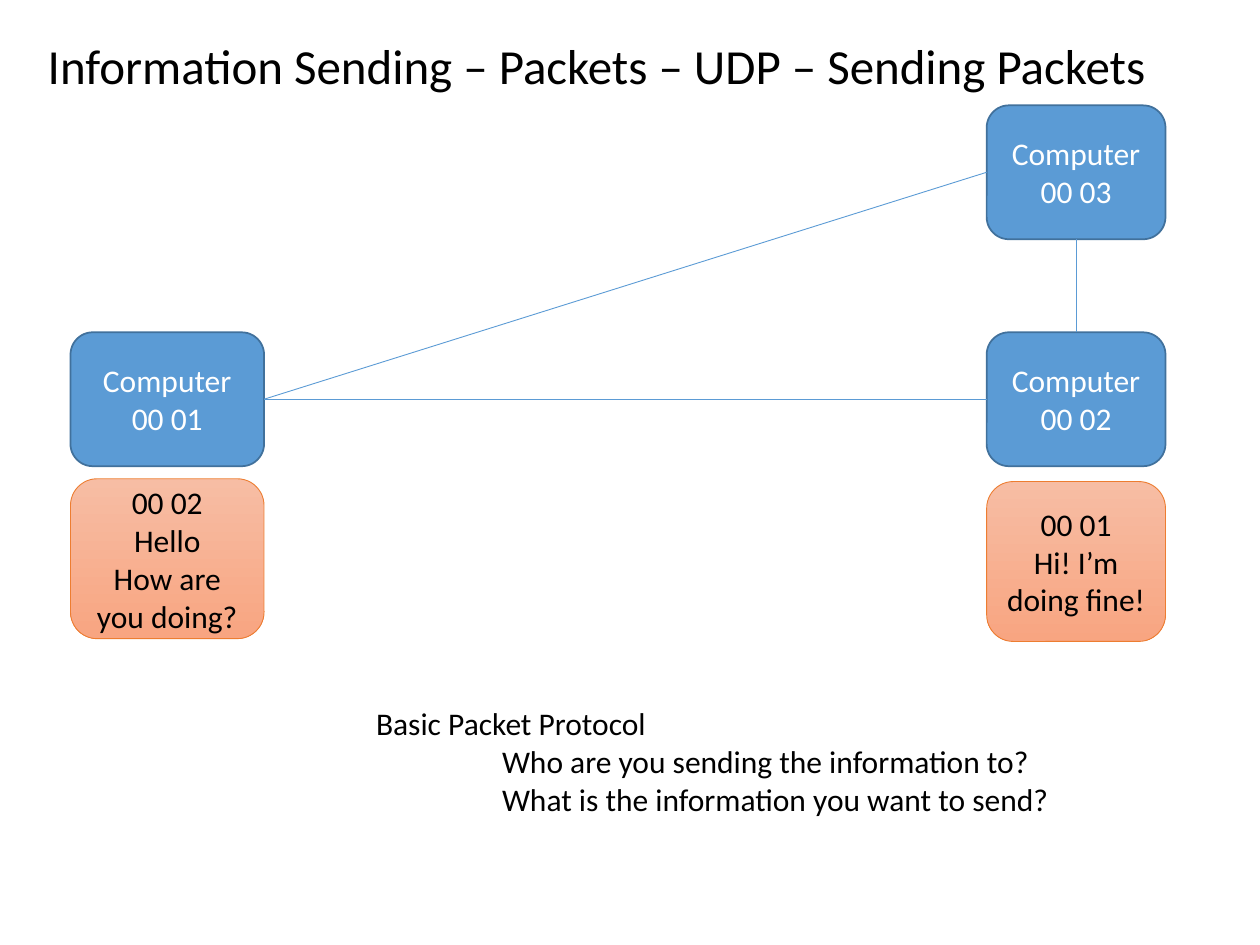
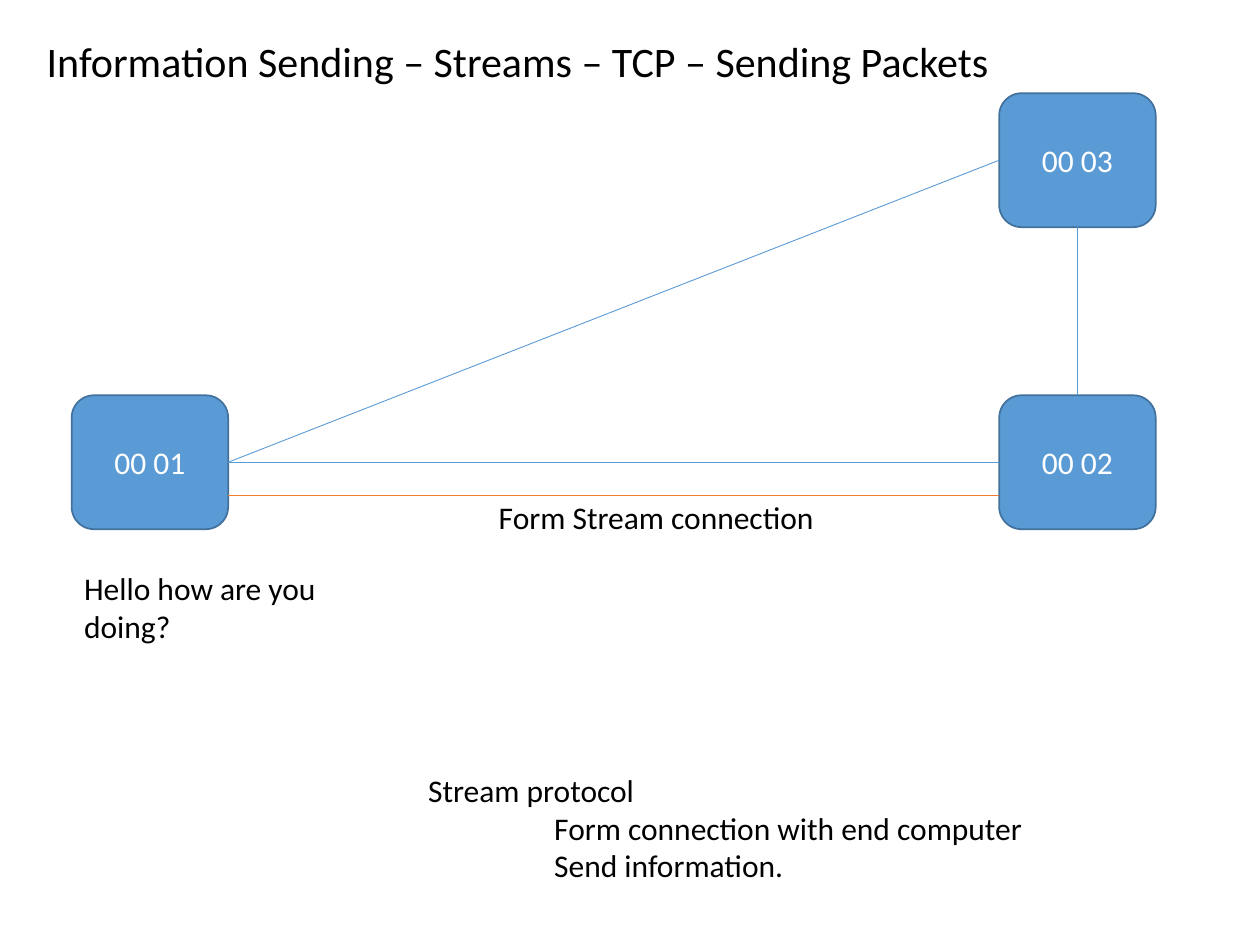
from collections import namedtuple

from lxml.etree import SubElement
from pptx import Presentation
from pptx.dml.color import RGBColor
from pptx.enum.shapes import MSO_CONNECTOR as LINK, MSO_SHAPE as SHAPE
from pptx.enum.text import MSO_ANCHOR as ANCHOR, MSO_AUTO_SIZE as FIT, PP_ALIGN as ALIGN
from pptx.oxml.ns import qn
from pptx.util import Pt

Box = namedtuple("Box", "left top width height")

BLUE, BLUE_EDGE, ORANGE = "5B9BD5", "41719C", "ED7D31"
PACKET_TOP, PACKET_BOTTOM = "F7BDA4", "F8A581"
BLACK, WHITE = "000000", "FFFFFF"
BODY = {"name": "Calibri", "size": Pt(18)}
COMPUTER_HEIGHT, PACKET_HEIGHT = 76.5, 91.4
TOP, LEFT, BOTTOM, RIGHT = range(4)  # connection sites of a rounded rectangle


def rgb(value):
    return RGBColor.from_string(value)


def points(box):
    return [Pt(length) for length in box]


def write(frame, lines, color=BLACK, align=ALIGN.LEFT, indent=0, **font):
    """Put one paragraph per line; the lines after the first take the indent."""
    for number, line in enumerate(lines):
        paragraph = frame.paragraphs[0] if number == 0 else frame.add_paragraph()
        paragraph.alignment = align
        if number and indent:
            paragraph._p.get_or_add_pPr().set("marL", str(Pt(indent)))
        run = paragraph.add_run()
        run.text = line
        run.font.color.rgb = rgb(color)
        for key, value in {**BODY, **font}.items():
            setattr(run.font, key, value)


def add_text(slide, box, lines, wrap=False, **style):
    frame = slide.shapes.add_textbox(*points(box)).text_frame
    frame.word_wrap = wrap
    frame.auto_size = FIT.SHAPE_TO_FIT_TEXT
    write(frame, lines, **style)


def add_card(slide, box, lines, edge, edge_width, color):
    card = slide.shapes.add_shape(SHAPE.ROUNDED_RECTANGLE, *points(box))
    card.shadow.inherit = False
    card.line.color.rgb = rgb(edge)
    card.line.width = Pt(edge_width)
    card.text_frame.word_wrap = True
    card.text_frame.vertical_anchor = ANCHOR.MIDDLE
    write(card.text_frame, lines, color, ALIGN.CENTER)
    return card


def add_computer(slide, box, lines):
    computer = add_card(slide, box, lines, BLUE_EDGE, 1, WHITE)
    computer.fill.solid()
    computer.fill.fore_color.rgb = rgb(BLUE)
    return computer


def add_packet(slide, computer, gap, lines):
    """Hang a packet below the computer that sends it."""
    box = Box(computer.left.pt, computer.top.pt + computer.height.pt + gap,
              computer.width.pt, PACKET_HEIGHT)
    packet = add_card(slide, box, lines, ORANGE, 0.5, BLACK)
    packet.fill.gradient()
    packet.fill.gradient_angle = 270
    for stop, shade in zip(packet.fill.gradient_stops, (PACKET_TOP, PACKET_BOTTOM)):
        stop.color.rgb = rgb(shade)


def add_link(slide, color=BLUE, ends=(0, 0, 0, 0)):
    link = slide.shapes.add_connector(LINK.STRAIGHT, *points(ends))
    link.line.color.rgb = rgb(color)
    link.line.width = Pt(0.5)
    SubElement(link._element.spPr, qn("a:effectLst"))
    return link


def add_network(slide, box, sender_width, peer_width, caption=()):
    """Sender at lower left, peers at lower and upper right, all three linked."""
    lower = box.top + box.height - COMPUTER_HEIGHT
    peer_left = box.left + box.width - peer_width
    places = {
        "00 01": (box.left, lower, sender_width),
        "00 02": (peer_left, lower, peer_width),
        "00 03": (peer_left, box.top, peer_width),
    }
    sender, receiver, other = [
        add_computer(slide, Box(*place, COMPUTER_HEIGHT), [*caption, address])
        for address, place in places.items()
    ]
    for start, start_site, end, end_site in (
        (sender, RIGHT, receiver, LEFT),
        (sender, RIGHT, other, LEFT),
        (other, BOTTOM, receiver, TOP),
    ):
        link = add_link(slide)
        link.begin_connect(start, start_site)
        link.end_connect(end, end_site)
    return sender, receiver


def build_packets_slide(slide):
    # Title and network
    add_text(slide, Box(20.2, 16.6, 645.8, 41),
             ["Information Sending – Packets – UDP – Sending Packets"], size=Pt(28))
    sender, receiver = add_network(slide, Box(40.3, 60.2, 625.7, 206.2),
                                   110.6, 102.2, caption=["Computer"])
    # Packets in both directions
    add_packet(slide, sender, 7.2, ["00 02", "Hello", "How are you doing?"])
    add_packet(slide, receiver, 8.8, ["00 01", "Hi! I’m doing fine!"])
    # Protocol
    add_text(slide, Box(207.8, 399, 400.3, 72),
             ["Basic Packet Protocol", "Who are you sending the information to?",
              "What is the information you want to send?"], indent=72)


def build_streams_slide(slide):
    # Title and network
    add_text(slide, Box(19.6, 16.6, 555.8, 36),
             ["Information Sending – Streams – TCP – Sending Packets"], size=Pt(24))
    sender, receiver = add_network(slide, Box(41, 53.3, 619.4, 249.1), 89.4, 89.4)
    # Stream, at three quarters of the computers' height
    stream_y = sender.top.pt + COMPUTER_HEIGHT * 0.75
    add_link(slide, ORANGE, (sender.left.pt + sender.width.pt, stream_y,
                             receiver.left.pt, stream_y))
    add_text(slide, Box(277.9, stream_y - 2, 195.1, 29), ["Form Stream connection"])
    # Message and protocol
    add_text(slide, Box(41, 321.8, 157, 50.4), ["Hello how are you doing?"], wrap=True)
    add_text(slide, Box(237.6, 437, 354.2, 72),
             ["Stream protocol", "Form connection with end computer",
              "Send information."], indent=72)


def main():
    deck = Presentation()
    deck.slide_width, deck.slide_height = Pt(720), Pt(540)
    for build in (build_packets_slide, build_streams_slide):
        build(deck.slides.add_slide(deck.slide_layouts[6]))
    deck.save("out.pptx")


if __name__ == "__main__":
    main()
